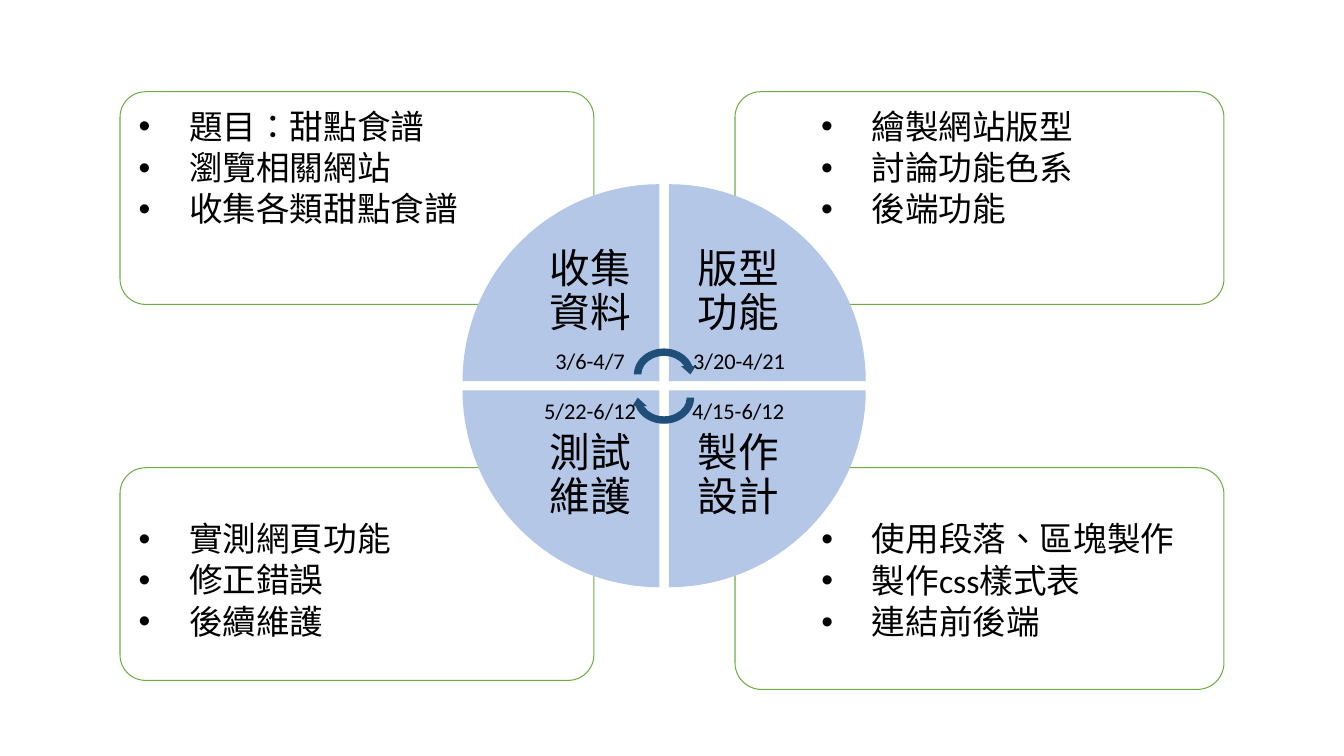
from math import cos, pi, sin

from lxml.etree import SubElement
from pptx import Presentation
from pptx.dml.color import RGBColor
from pptx.enum.shapes import MSO_SHAPE as Preset
from pptx.enum.text import MSO_ANCHOR as Anchor, PP_ALIGN as Align
from pptx.oxml.ns import qn
from pptx.util import Inches, Pt

COLORS = {"text": "000000", "card": "70AD47", "wheel": "B4C7E7", "arrow": "1F4E79"}
FONT = "Calibri"


def write(frame, text, size, first=False, align=Align.LEFT, after=15, bullet=False):
    """Add one paragraph; after is the spacing in percent of a line."""
    para = frame.paragraphs[0] if first else frame.add_paragraph()
    para.alignment = align
    para.line_spacing = 0.9
    props = para._p.get_or_add_pPr()
    SubElement(SubElement(props, qn("a:spcAft")), qn("a:spcPct"), val=str(after * 1000))
    if bullet:
        props.set("marL", str(Inches(0.5)))
        props.set("indent", str(-Inches(0.5)))
        SubElement(props, qn("a:buFont"), typeface="Arial")
        SubElement(props, qn("a:buChar"), char="•")
    run = para.add_run()
    run.text = text
    run.font.size = Pt(size)
    run.font.name = FONT
    run.font.color.rgb = RGBColor.from_string(COLORS["text"])
    run._r.get_or_add_rPr().set("lang", "zh-TW")


class PlanSlide:
    """Lengths are percentages of the slide's width (across) and height (down)."""

    def __init__(self, deck):
        self.deck = deck
        self.slide = deck.slides.add_slide(deck.slide_layouts[6])
        self.shapes = self.slide.shapes

    def across(self, share):
        return round(self.deck.slide_width * share / 100)

    def down(self, share):
        return round(self.deck.slide_height * share / 100)

    def paint(self, shape, fill=None, line=None):
        shape.shadow.inherit = False
        if fill:
            shape.fill.solid()
            shape.fill.fore_color.rgb = RGBColor.from_string(COLORS[fill])
        else:
            shape.fill.background()
        if line:
            shape.line.color.rgb = RGBColor.from_string(COLORS[line])
            shape.line.width = Pt(0.75)
        else:
            shape.line.fill.background()

    def preset(self, kind, left, top, width, height):
        return self.shapes.add_shape(kind, self.across(left), self.down(top),
                                     self.across(width), self.down(height))

    def frame(self, shape, left, top, right, bottom, anchor):
        frame = shape.text_frame
        frame.word_wrap = True
        frame.vertical_anchor = anchor
        frame.margin_left, frame.margin_right = self.across(left), self.across(right)
        frame.margin_top, frame.margin_bottom = self.down(top), self.down(bottom)
        return frame

    def card(self, box, side, row, tasks):
        """Rounded card whose text keeps clear of the wheel."""
        card = self.preset(Preset.ROUNDED_RECTANGLE, *box)
        card.adjustments[0] = 0.12
        self.paint(card, line="card")
        left, right = (0.83, 5.85) if side < 0 else (5.85, 0.83)
        top, bottom = (1.47, 6.27) if row < 0 else (6.27, 1.47)
        frame = self.frame(card, left, top, right, bottom, Anchor.TOP)
        for i, task in enumerate(tasks):
            write(frame, task, 24, first=i == 0, bullet=True)

    def quadrant(self, side, row, phase, dates, date_align):
        """Quarter of the wheel; the dates lie next to its centre."""
        corner_x, corner_y = 49.42 + side * 0.35, 51.02 + row * 0.62
        steps = 32
        arc = [(self.across(corner_x + side * 14.65 * cos(i * pi / 2 / steps)),
                self.down(corner_y + row * 26.04 * sin(i * pi / 2 / steps)))
               for i in range(steps + 1)]
        outline = self.shapes.build_freeform(self.across(corner_x), self.down(corner_y))
        outline.add_line_segments(arc, close=True)
        quarter = outline.convert_to_shape()
        self.paint(quarter, fill="wheel")
        left, right = (6, 1.67) if side < 0 else (1.67, 6)
        top, bottom = (10.67, 3.07) if row < 0 else (3.07, 10.67)
        frame = self.frame(quarter, left, top, right, bottom, Anchor.MIDDLE)
        lines = [(phase, 29, Align.CENTER), (dates, 16, date_align)][::-row]
        for i, (text, size, align) in enumerate(lines):
            write(frame, text, size, first=i == 0, align=align, after=35)

    def arrow(self, top, rotation):
        arrow = self.preset(Preset.CIRCULAR_ARROW, 46.89, top, 5.03, 7.87)
        arrow.rotation = rotation
        self.paint(arrow, fill="arrow")


def main():
    deck = Presentation()
    deck.slide_width, deck.slide_height = Inches(13.33), Inches(7.5)
    plan = PlanSlide(deck)

    # Phases: side (-1 left), row (-1 top), name, dates, date alignment, tasks
    phases = [
        (-1, -1, "收集資料", "3/6-4/7", Align.CENTER,
         ["題目：甜點食譜", "瀏覽相關網站", "收集各類甜點食譜"]),
        (1, -1, "版型功能", "3/20-4/21", Align.RIGHT,
         ["繪製網站版型", "討論功能色系", "後端功能"]),
        (1, 1, "製作設計", "4/15-6/12", Align.CENTER,
         ["使用段落、區塊製作", "製作css樣式表", "連結前後端"]),
        (-1, 1, "測試維護", "5/22-6/12", Align.CENTER,
         ["實測網頁功能", "修正錯誤", "後續維護"]),
    ]
    columns = {-1: (8.93, 35.26), 1: (54.69, 36.38)}
    tops = {-1: 12.13, 1: 61.87}

    # Task cards behind the wheel
    for side, row, _, _, _, tasks in phases:
        left, width = columns[side]
        height = 29.33 if side == row == 1 else 28.13
        plan.card((left, tops[row], width, height), side, row, tasks)

    # Wheel of phases
    for side, row, phase, dates, date_align, _ in phases:
        plan.quadrant(side, row, phase, dates, date_align)

    # Cycle arrows in the centre
    for top, rotation in ((45.6, 0), (48.67, 180)):
        plan.arrow(top, rotation)

    deck.save("out.pptx")


if __name__ == "__main__":
    main()
